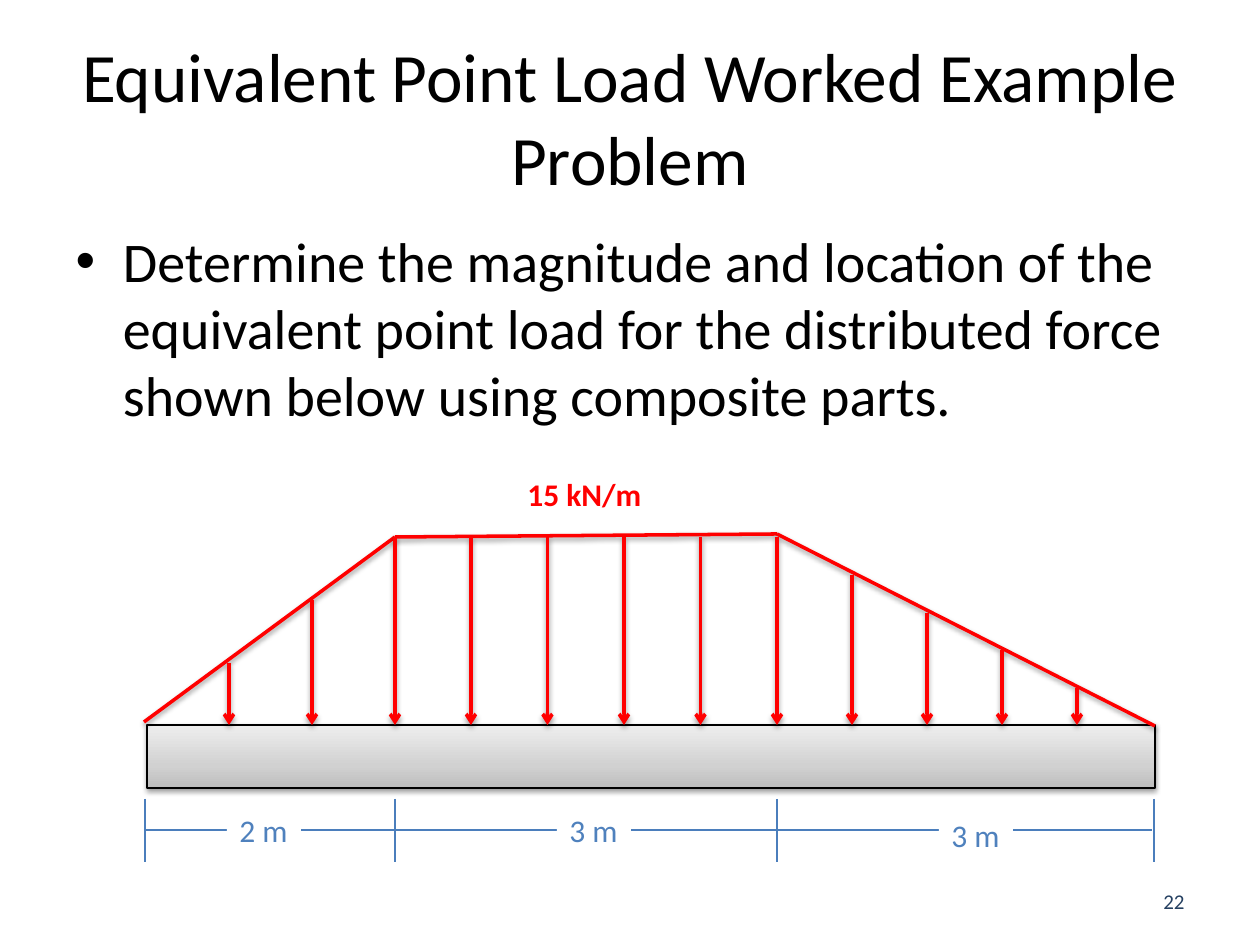
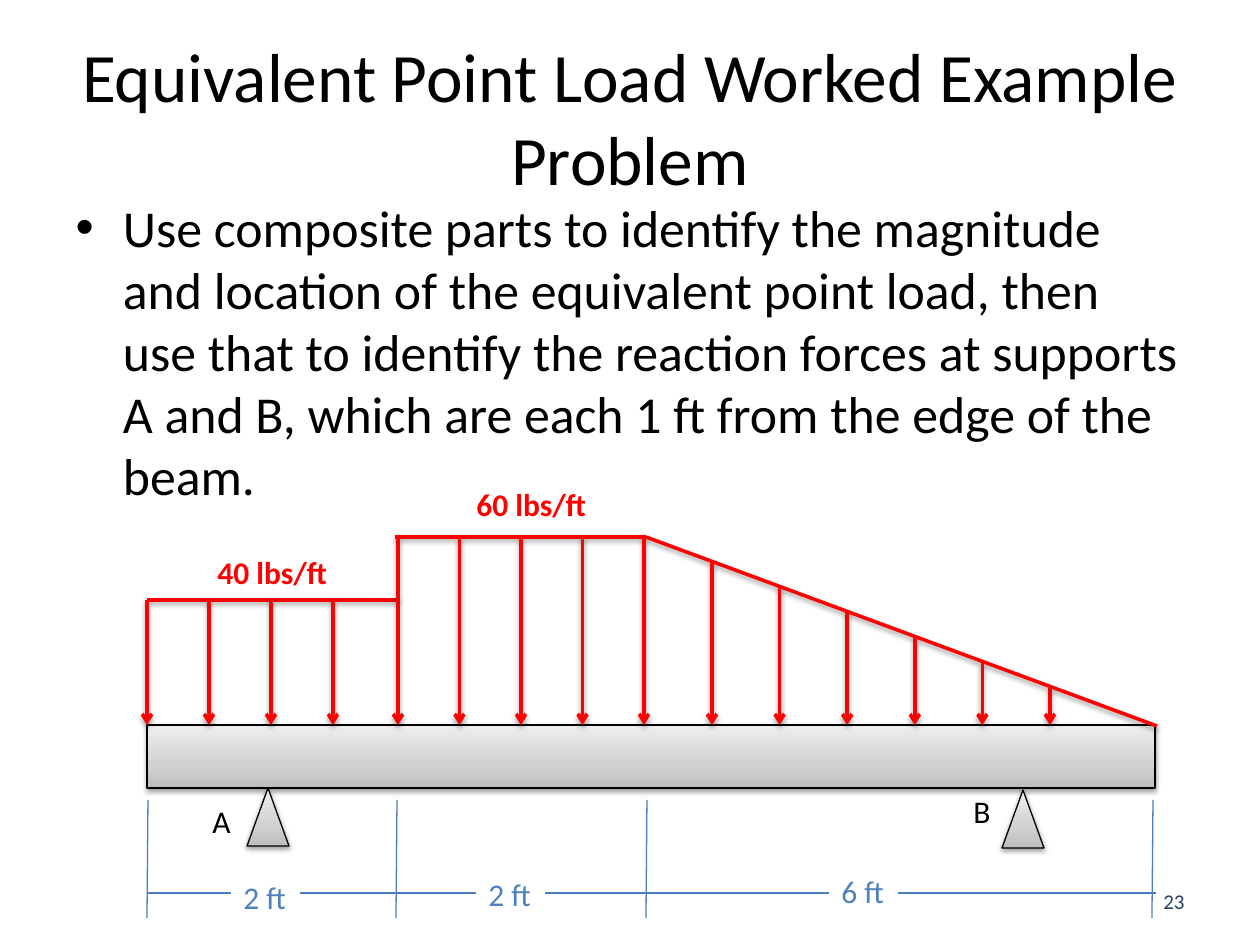
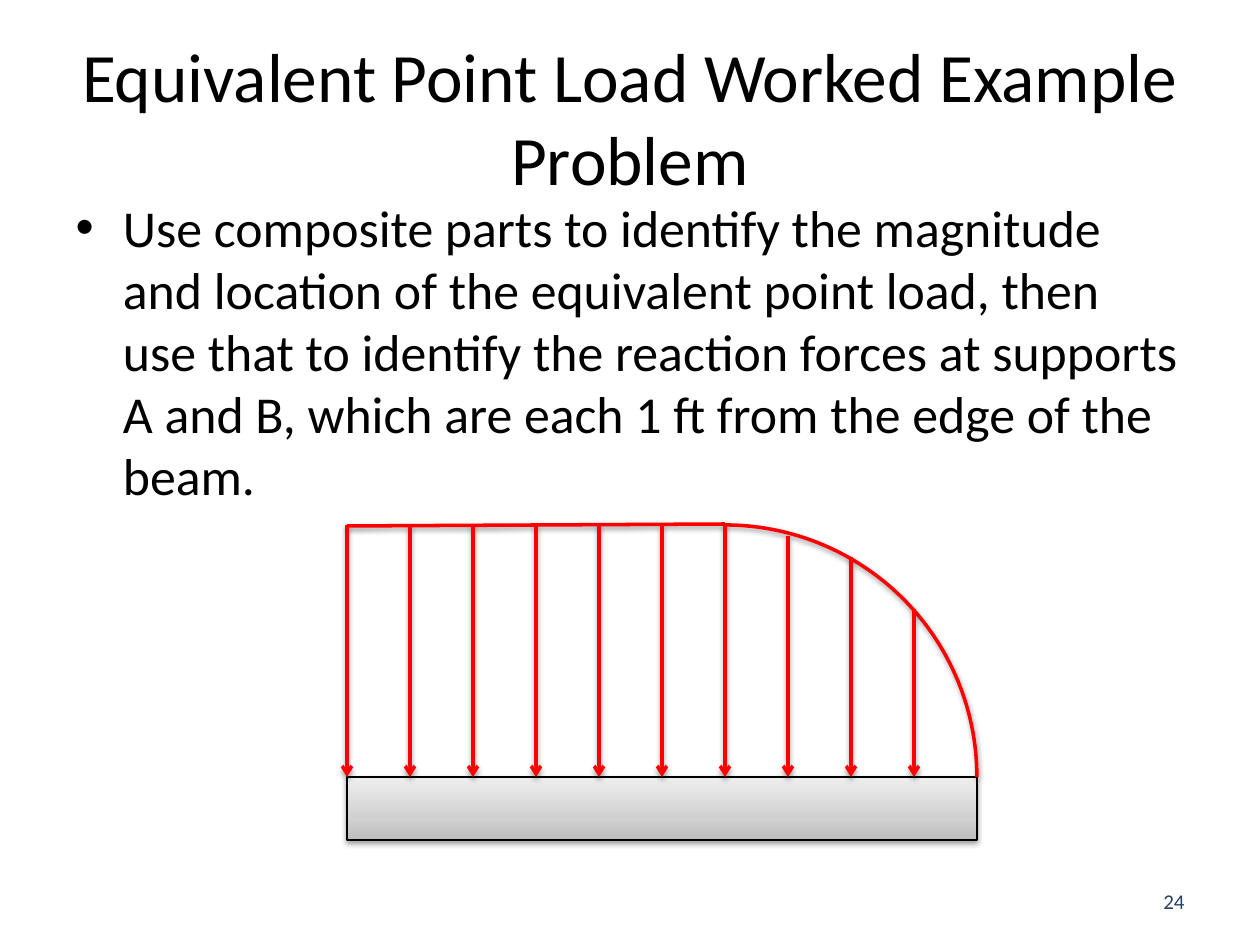
from pptx import Presentation
from pptx.dml.color import RGBColor
from pptx.enum.shapes import MSO_CONNECTOR, MSO_SHAPE
from pptx.enum.text import MSO_ANCHOR, MSO_AUTO_SIZE, PP_ALIGN
from pptx.oxml import parse_xml
from pptx.oxml.ns import nsdecls
from pptx.util import Pt

SCALE = 914400 / 126
FONT = "Calibri"
INK = {
    "text": "000000",
    "load": "FF0000",
    "rule": "4B7EBC",
    "size": "4F81BD",
    "page": "254061",
    "paper": "FFFFFF",
    "dark": "BDBDBD",
    "mid": "D1D1D1",
    "light": "EEEEEE",
}
TITLE = "Equivalent Point Load Worked Example Problem"
TASK = (
    "Use composite parts to identify the magnitude and location of the "
    "equivalent point load, then use that to identify the reaction forces at "
    "supports A and B, which are each 1 ft from the edge of the beam."
)


def px(value):
    return round(value * SCALE)


def ink(name):
    return RGBColor.from_string(INK[name])


def place(shape, *box):
    shape.left, shape.top, shape.width, shape.height = map(px, box)


def write(frame, text, size, color, bold=False, align=None):
    frame.text = text
    line = frame.paragraphs[0]
    line.space_before = Pt(0)
    line.alignment = align
    line.font.name = FONT
    line.font.size = Pt(size)
    line.font.bold = bold
    line.font.color.rgb = ink(color)


def shade(shape, lit):
    glow = (
        '<a:outerShdw blurRad="39370" dist="20320" dir="5400000" rotWithShape="0">'
        f'<a:srgbClr val="{INK["text"]}"><a:alpha val="38000"/></a:srgbClr>'
        "</a:outerShdw>"
    )
    body = glow if lit else ""
    shape._element.spPr.append(
        parse_xml(f'<a:effectLst {nsdecls("a")}>{body}</a:effectLst>')
    )


def stroke(shape, color, width):
    shape.line.color.rgb = ink(color)
    shape.line.width = Pt(width)


def draw(slide, start, end, color="load", width=2, lit=True, head=False):
    line = slide.shapes.add_connector(
        MSO_CONNECTOR.STRAIGHT, *map(px, (*start, *end))
    )
    stroke(line, color, width)
    if head:
        line.line._get_or_add_ln().append(
            parse_xml(f'<a:tailEnd {nsdecls("a")} type="arrow"/>')
        )
    shade(line, lit)
    return line


def outline(slide, points):
    for start, end in zip(points, points[1:]):
        draw(slide, start, end)


def spread(start, end, count):
    (x1, y1), (x2, y2) = start, end
    for k in range(count):
        part = k / (count - 1)
        yield x1 + (x2 - x1) * part, y1 + (y2 - y1) * part


def arrows(slide, beam, points):
    middle = beam.left + beam.width // 2
    for x, y in points:
        line = draw(slide, (x, y), (x, beam.top / SCALE), head=True)
        if abs(px(x) - middle) < px(1):
            line.end_connect(beam, 0)


def solid(slide, kind, *box):
    shape = slide.shapes.add_shape(kind, *map(px, box))
    stops = "".join(
        f'<a:gs pos="{at}"><a:srgbClr val="{INK[name]}"/></a:gs>'
        for at, name in ((0, "dark"), (35000, "mid"), (100000, "light"))
    )
    shape._element.spPr.append(
        parse_xml(
            f'<a:gradFill {nsdecls("a")} rotWithShape="1"><a:gsLst>{stops}</a:gsLst>'
            '<a:lin ang="16200000" scaled="0"/></a:gradFill>'
        )
    )
    stroke(shape, "text", 0.75)
    shade(shape, True)
    return shape


def label(slide, text, x, y, width, color="load", bold=False):
    box = slide.shapes.add_textbox(*map(px, (x, y, width, 50)))
    box.text_frame.word_wrap = False
    write(box.text_frame, text, 18, color, bold)
    return box


def ruler(slide, marks, top, bottom, level, ends, lean=0):
    for x in marks:
        draw(slide, (x, top), (x - lean, bottom), "rule", 0.75, False)
    draw(slide, (ends[0], level), (ends[1], level), "rule", 0.75, False)


def sizes(slide, width, items):
    for text, x, y in items:
        box = label(slide, text, x, y, width, "size")
        box.fill.solid()
        box.fill.fore_color.rgb = ink("paper")


def start(deck, number, text, top, size):
    slide = deck.slides.add_slide(deck.slide_layouts[1])
    title, body = slide.placeholders
    place(title, 63, 38, 1134, 157)
    write(title.text_frame, TITLE, 39.6, "text", align=PP_ALIGN.CENTER)
    place(body, 63, top, 1134, 273)
    write(body.text_frame, text, size, "text")
    for item in (title, body):
        item.text_frame.auto_size = MSO_AUTO_SIZE.NONE
    page = slide.shapes.add_textbox(*map(px, (903, 876, 294, 50)))
    page.text_frame.word_wrap = True
    page.text_frame.vertical_anchor = MSO_ANCHOR.MIDDLE
    write(page.text_frame, str(number), 12, "page", align=PP_ALIGN.RIGHT)
    return slide


def metric(deck):
    slide = start(
        deck, 22,
        "Determine the magnitude and location of the equivalent point load for "
        "the distributed force shown below using composite parts.",
        220, 32,
    )
    beam = solid(slide, MSO_SHAPE.RECTANGLE, 147, 725, 1008, 63)
    outline(slide, [(144, 722), (395, 537), (777, 534), (1155, 726)])
    arrows(slide, beam, spread((229, 663), (395, 537), 3))
    arrows(slide, beam, spread((471, 537), (777, 537), 5))
    arrows(slide, beam, spread((852, 575), (1077, 688), 4))
    label(slide, "15 kN/m", 515, 469, 141, bold=True)
    ruler(slide, (145, 395, 777, 1154), 799, 862, 830, (144, 1152))
    sizes(slide, 74, [("2 m", 227, 805), ("3 m", 557, 805), ("3 m", 939, 810)])


def supports(deck):
    slide = start(deck, 23, TASK, 189, 29.6)
    beam = solid(slide, MSO_SHAPE.RECTANGLE, 147, 725, 1008, 63)
    outline(slide, [(147, 600), (399, 600)])
    outline(slide, [(395, 537), (646, 537), (1157, 726)])
    arrows(slide, beam, spread((147, 600), (333, 600), 4))
    arrows(slide, beam, spread((398, 537), (644, 537), 5))
    arrows(slide, beam, spread((712, 562), (1050, 688), 6))
    label(slide, "40 lbs/ft", 205, 547, 137, bold=True)
    label(slide, "60 lbs/ft", 464, 479, 137, bold=True)
    for name, x, y, left, top in (
        ("A", 247, 788, 200, 796),
        ("B", 1002, 790, 961, 786),
    ):
        solid(slide, MSO_SHAPE.ISOSCELES_TRIANGLE, x, y, 42, 58)
        label(slide, name, left, top, 44, "text")
    ruler(slide, (148, 397, 647, 1153), 800, 918, 893, (148, 1156), lean=1)
    sizes(slide, 69, [("2 ft", 231, 872), ("2 ft", 476, 869), ("6 ft", 829, 866)])


def curved(deck):
    slide = start(deck, 24, TASK, 189, 29.6)
    beam = solid(slide, MSO_SHAPE.RECTANGLE, 347, 777, 630, 63)
    arc = slide.shapes.add_shape(MSO_SHAPE.ARC, *map(px, (473, 525, 504, 504)))
    arc.fill.background()
    stroke(arc, "load", 2)
    shade(arc, True)
    outline(slide, [(347, 526), (725, 524)])
    arrows(slide, beam, spread((347, 525), (725, 525), 7))
    arrows(slide, beam, [(788, 536), (851, 557), (914, 609)])


def main():
    deck = Presentation()
    deck.slide_width, deck.slide_height = px(1260), px(945)
    metric(deck)
    supports(deck)
    curved(deck)
    deck.save("out.pptx")


if __name__ == "__main__":
    main()
